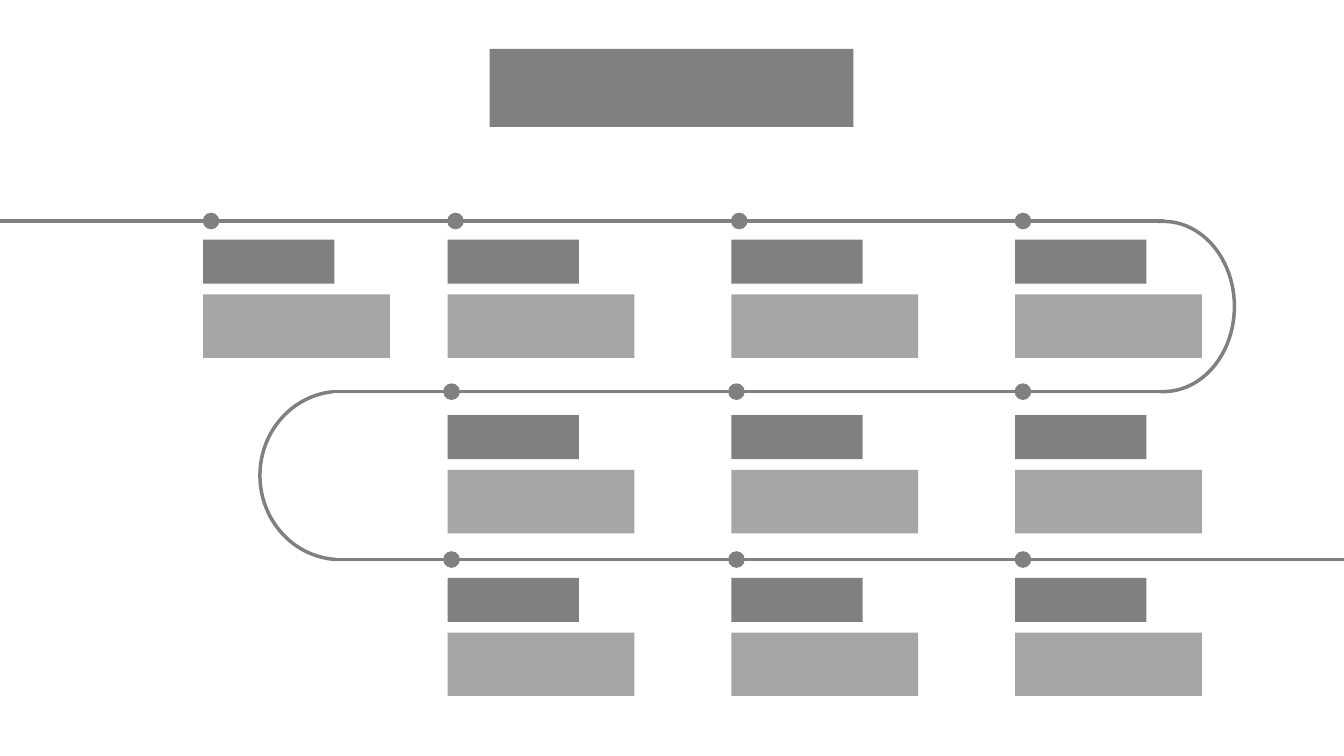
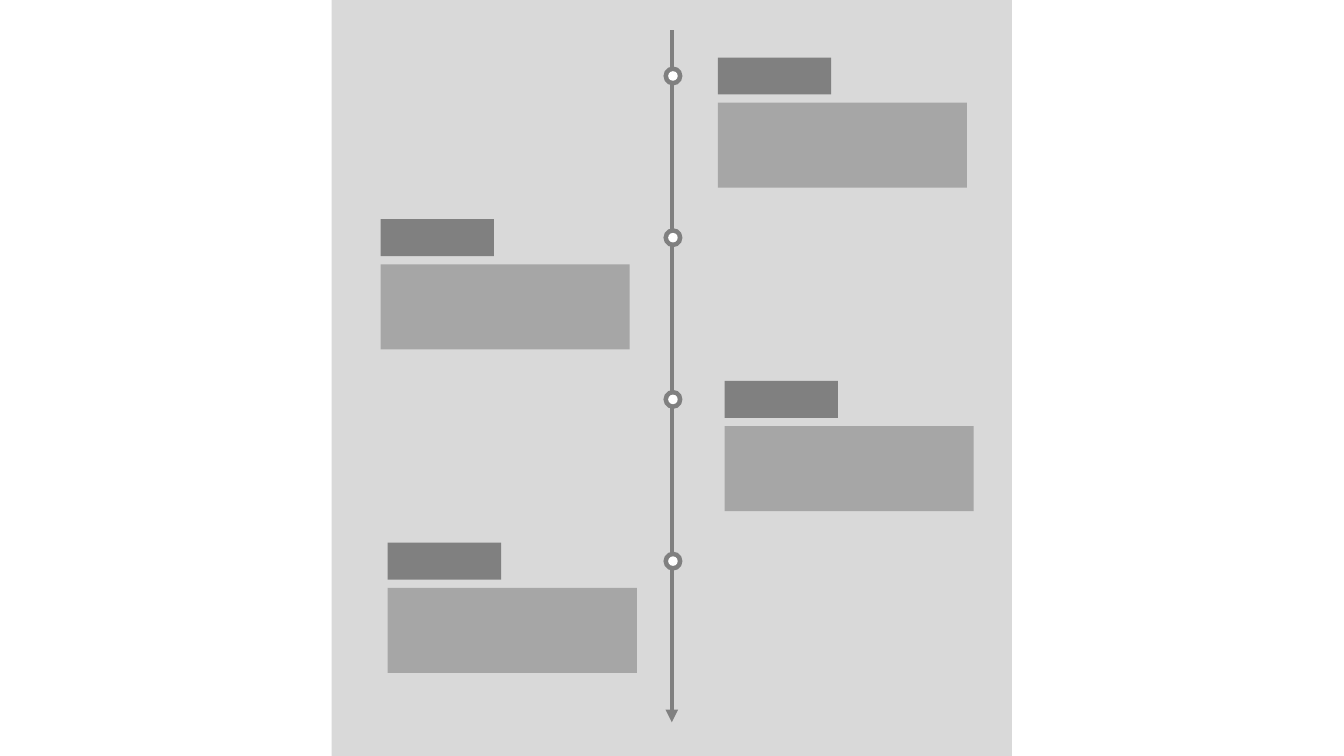
from lxml import etree
from pptx import Presentation
from pptx.dml.color import RGBColor
from pptx.enum.dml import MSO_LINE
from pptx.enum.shapes import MSO_CONNECTOR, MSO_SHAPE
from pptx.oxml.ns import qn
from pptx.util import Cm, Pt

RECT, OVAL, ARC = MSO_SHAPE.RECTANGLE, MSO_SHAPE.OVAL, MSO_SHAPE.ARC
STRAIGHT, SOLID = MSO_CONNECTOR.STRAIGHT, MSO_LINE.SOLID

DARK = RGBColor(0x80, 0x80, 0x80)
MID = RGBColor(0xA6, 0xA6, 0xA6)
PALE = RGBColor(0xD9, 0xD9, 0xD9)
WHITE = RGBColor(0xFF, 0xFF, 0xFF)

# Content: all lengths in cm
WIDTH, HEIGHT = 33.87, 19.05

# Winding road: line height, line start and end, card top, dot centres
TITLE = (12.34, 1.23, 9.17, 1.97)
ROWS = [
    (5.57, 0, 29.34, 6.04, (5.32, 11.48, 18.63, 25.78)),
    (9.87, 8.33, 29.34, 10.46, (11.38, 18.56, 25.78)),
    (14.1, 8.43, WIDTH, 14.56, (11.38, 18.56, 25.78)),
]
# Bends: box, start and end angle, rotation
BENDS = [
    ((27.53, 5.58, 3.58, 4.29), (267.1, 92.07), 0),
    ((6.55, 9.86, 4.06, 4.24), (273.36, 84.43), 180),
]
COLS = (5.12, 11.28, 18.43, 25.58)
DOT = 0.42
# Card: label size, body size, step from label top to body top
ROAD_CARD = ((3.31, 1.11), (4.71, 1.6), 1.38)

# Upright axis: cards on both sides
PANEL = (8.36, 0, 17.14, HEIGHT)
AXIS = (16.93, 0.76, 16.93, 18.2)
LEFTS = (18.09, 9.59, 18.26, 9.77)
FIRST, STEP = 1.45, 4.075
RING_X, RING, HOLE = 16.96, 0.48, 0.24
AXIS_CARD = ((2.86, 0.93), (6.28, 2.14), 1.14)


# Shared parts
def block(shapes, kind, box, fill):
    shape = shapes.add_shape(kind, *map(Cm, box))
    shape.shadow.inherit = False
    shape.fill.solid()
    shape.fill.fore_color.rgb = fill
    shape.line.fill.background()
    return shape


def disc(shapes, x, y, size, fill):
    block(shapes, OVAL, (x - size / 2, y - size / 2, size, size), fill)


def card(shapes, x, y, sizes):
    label, body, drop = sizes
    block(shapes, RECT, (x, y, *label), DARK)
    block(shapes, RECT, (x, y + drop, *body), MID)


def stroke(line, width):
    line.color.rgb = DARK
    line.width = Pt(width)
    line.dash_style = SOLID


def rule(shapes, ends, width, arrow=False):
    link = shapes.add_connector(STRAIGHT, *map(Cm, ends))
    stroke(link.line, width)
    props = link._element.spPr
    if arrow:
        tip = etree.SubElement(props.find(qn("a:ln")), qn("a:tailEnd"))
        tip.set("type", "triangle")
    etree.SubElement(props, qn("a:effectLst"))


def bend(shapes, box, angles, turn):
    arc = shapes.add_shape(ARC, *map(Cm, box))
    arc.shadow.inherit = False
    arc.fill.background()
    stroke(arc.line, 2.5)
    for i, angle in enumerate(angles):
        arc.adjustments[i] = angle * 0.6  # 60000ths of a degree over 100000
    arc.rotation = turn


# Slides
def road(shapes):
    for y, start, end, _, _ in ROWS:
        rule(shapes, (start, y, end, y), 2.5)
    for item in BENDS:
        bend(shapes, *item)
    block(shapes, RECT, TITLE, DARK)
    for y, _, _, top, dots in ROWS:
        for x, dot in zip(COLS[-len(dots):], dots):
            disc(shapes, dot, y, DOT, DARK)
            card(shapes, x, top, ROAD_CARD)


def axis(shapes):
    block(shapes, RECT, PANEL, PALE)
    rule(shapes, AXIS, 3, arrow=True)
    for i, x in enumerate(LEFTS):
        top = FIRST + i * STEP
        mid = top + AXIS_CARD[0][1] / 2
        card(shapes.add_group_shape().shapes, x, top, AXIS_CARD)
        ring = shapes.add_group_shape().shapes
        disc(ring, RING_X, mid, RING, DARK)
        disc(ring, RING_X, mid, HOLE, WHITE)


def main():
    deck = Presentation()
    deck.slide_width, deck.slide_height = Cm(WIDTH), Cm(HEIGHT)
    blank = deck.slide_layouts.get_by_name("Blank")
    for draw in (road, axis):
        draw(deck.slides.add_slide(blank).shapes)
    deck.save("out.pptx")


if __name__ == "__main__":
    main()
